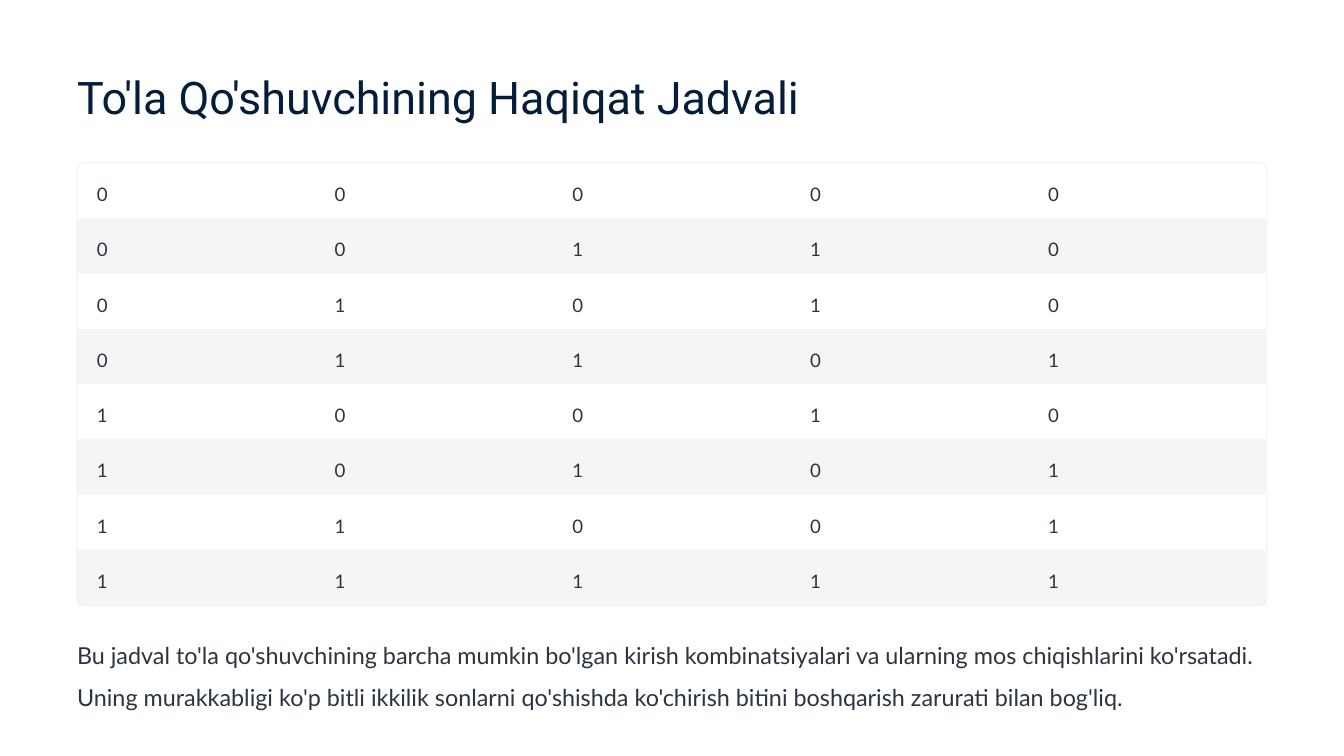
from dataclasses import dataclass
from itertools import product

from lxml import etree
from pptx import Presentation
from pptx.dml.color import RGBColor
from pptx.dml.fill import FillFormat
from pptx.enum import shapes, text
from pptx.oxml import ns
from pptx.shapes.autoshape import Shape
from pptx.slide import Slide
from pptx.text.text import TextFrame
from pptx.util import Cm, Length, Pt


@dataclass(frozen=True)
class TextStyle:
    font: str
    size: float
    color: RGBColor
    line_spacing: Length | float


@dataclass(frozen=True)
class Theme:
    ink = RGBColor.from_string("2B3541")
    black = RGBColor.from_string("000000")
    bands = (RGBColor.from_string("FFFFFF"), black)
    band_opacity = 4
    border_opacity = 8
    title = TextStyle("Roboto", 38.5, RGBColor.from_string("051D3A"), Pt(48.5))
    digit = TextStyle("Lato", 16, ink, Pt(26))
    body = TextStyle("Lato", 20, ink, 1.5)
    plain_table = "{2D5ABB26-0587-4C30-8999-92F81FD0307C}"


@dataclass(frozen=True)
class Area:
    left: float
    top: float
    width: float
    height: float

    def lengths(self) -> tuple[Length, ...]:
        return Cm(self.left), Cm(self.top), Cm(self.width), Cm(self.height)


@dataclass(frozen=True)
class TextBlock:
    area: Area
    wording: str
    style: TextStyle
    wrap: bool


THEME = Theme()
TABLE_AREA = Area(2.34, 4.93, 35.95, 13.37)
FRAME_AREA = Area(2.33, 4.91, 35.98, 13.41)
BLOCKS = (
    TextBlock(Area(2.33, 2.03, 23.14, 1.7),
              "To'la Qo'shuvchining Haqiqat Jadvali", THEME.title, False),
    TextBlock(Area(2.33, 18.97, 36, 1.85),
              "Bu jadval to'la qo'shuvchining barcha mumkin bo'lgan kirish "
              "kombinatsiyalari va ularning mos chiqishlarini ko'rsatadi. "
              "Uning murakkabligi ko'p bitli ikkilik sonlarni qo'shishda "
              "ko'chirish bitini boshqarish zarurati bilan bog'liq.",
              THEME.body, True),
)


def write(frame: TextFrame, wording: str, style: TextStyle) -> None:
    para = frame.paragraphs[0]
    para.line_spacing = style.line_spacing
    span = para.add_run()
    span.text = wording
    span.font.name = style.font
    span.font.size = Pt(style.size)
    span.font.color.rgb = style.color


def draw_text(page: Slide, block: TextBlock) -> None:
    frame = page.shapes.add_textbox(*block.area.lengths()).text_frame
    frame.word_wrap = block.wrap
    frame.margin_left = frame.margin_right = Cm(0)
    frame.margin_top = frame.margin_bottom = Cm(0)
    write(frame, block.wording, block.style)


def paint(fill: FillFormat, color: RGBColor, opacity: int) -> None:
    fill.solid()
    fill.fore_color.rgb = color
    tint = fill._xPr.find(ns.qn("a:solidFill"))[0]
    etree.SubElement(tint, ns.qn("a:alpha"), val=str(opacity * 1000))


def add_box(page: Slide, kind: shapes.MSO_SHAPE, area: Area) -> Shape:
    box = page.shapes.add_shape(kind, *area.lengths())
    box.shadow.inherit = False
    return box


def draw_frame(page: Slide) -> None:
    box = add_box(page, shapes.MSO_SHAPE.ROUNDED_RECTANGLE, FRAME_AREA)
    box.adjustments[0] = 0.018
    box.fill.background()
    box.line.width = Pt(0.6)
    paint(box.line.fill, THEME.black, THEME.border_opacity)


def draw_bands(page: Slide, count: int) -> None:
    height = TABLE_AREA.height / count
    for index in range(count):
        area = Area(TABLE_AREA.left, TABLE_AREA.top + index * height,
                    TABLE_AREA.width, height)
        box = add_box(page, shapes.MSO_SHAPE.RECTANGLE, area)
        box.line.fill.background()
        paint(box.fill, THEME.bands[index % 2], THEME.band_opacity)


def adder_rows() -> list[tuple[int, ...]]:
    return [(*bits, sum(bits) % 2, sum(bits) // 2)
            for bits in product((0, 1), repeat=3)]


def draw_truth_table(page: Slide, rows: list[tuple[int, ...]]) -> None:
    table = page.shapes.add_table(
        len(rows), len(rows[0]), *TABLE_AREA.lengths()).table
    table.first_row = table.horz_banding = False
    table._tbl.tblPr[0].text = THEME.plain_table
    for row_index, row in enumerate(rows):
        for column_index, digit in enumerate(row):
            cell = table.cell(row_index, column_index)
            cell.fill.background()
            cell.margin_left = cell.margin_right = Cm(0.59)
            cell.margin_top, cell.margin_bottom = Cm(0.37), Cm(0.3)
            cell.vertical_anchor = text.MSO_ANCHOR.TOP
            write(cell.text_frame, str(digit), THEME.digit)


def main() -> None:
    deck = Presentation()
    deck.slide_width, deck.slide_height = Cm(40.64), Cm(22.86)
    page = deck.slides.add_slide(deck.slide_layouts[6])
    rows = adder_rows()
    draw_frame(page)
    draw_bands(page, len(rows))
    draw_truth_table(page, rows)
    for block in BLOCKS:
        draw_text(page, block)
    deck.save("out.pptx")


if __name__ == "__main__":
    main()
